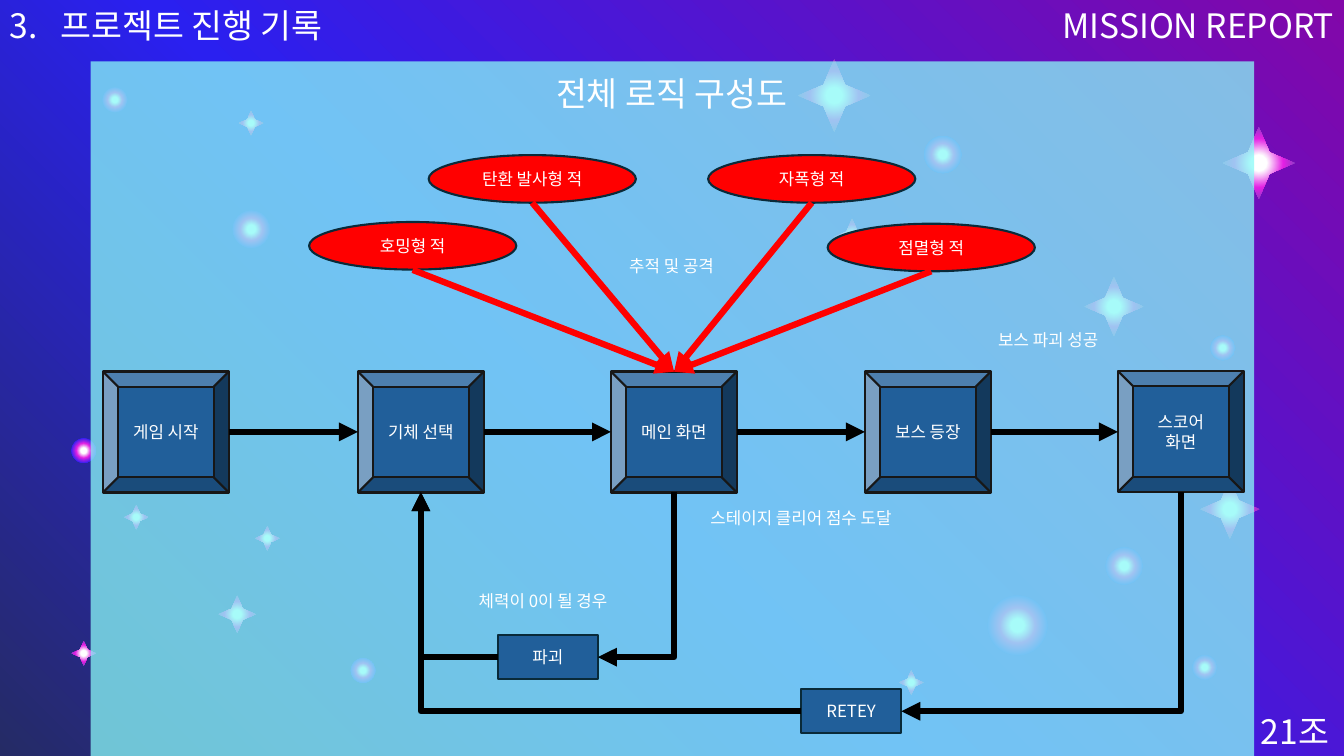
from lxml import etree
from pptx import Presentation
from pptx.dml.color import RGBColor
from pptx.enum import shapes, text
from pptx.oxml.ns import qn
from pptx.util import Pt

FONT = "Noto Sans CJK KR"
MSO, LINK, ALIGN = shapes.MSO_SHAPE, shapes.MSO_CONNECTOR, text.PP_ALIGN


def paint(obj, *stops, angle=None):
    """Fill with one hex colour, or with (percent, hex) stops: linear if angle is given, else radial."""
    if isinstance(stops[0], str):
        obj.fill.solid()
        obj.fill.fore_color.rgb = RGBColor.from_string(stops[0])
        return
    obj.fill.gradient()
    grad = next(obj._element.iter(qn("a:gradFill")))
    for child in list(grad):
        grad.remove(child)
    stop_list = etree.SubElement(grad, qn("a:gsLst"))
    for percent, color in stops:
        stop = etree.SubElement(stop_list, qn("a:gs"), pos=str(percent * 1000))
        etree.SubElement(stop, qn("a:srgbClr"), val=color)
    if angle is not None:
        etree.SubElement(grad, qn("a:lin"), ang=str(angle * 60000), scaled="0")
    else:
        circle = etree.SubElement(grad, qn("a:path"), path="circle")
        etree.SubElement(circle, qn("a:fillToRect"), dict.fromkeys("ltrb", "50000"))


def write(sp, words, size=12, color="FFFFFF", align=ALIGN.CENTER,
          anchor=text.MSO_ANCHOR.MIDDLE, grow=False):
    tf = sp.text_frame
    tf.word_wrap = True
    tf.vertical_anchor = anchor
    if grow:
        tf.auto_size = text.MSO_AUTO_SIZE.SHAPE_TO_FIT_TEXT
    p = tf.paragraphs[0]
    p.alignment = align
    r = p.add_run()
    r.text = words
    r.font.size = Pt(size)
    r.font.name = FONT
    paint(r.font, color)
    etree.SubElement(r._r.get_or_add_rPr(), qn("a:ea"), typeface=FONT)
    return p


prs = Presentation()
prs.slide_width, prs.slide_height = Pt(960), Pt(540)
s = prs.slides.add_slide(prs.slide_layouts[6])
paint(s.background, (0, "252B65"), (43, "2A20F0"), (100, "8207A9"), angle=315)

# Night sky: left, top, size
stars = [(570.2, 42.5, 51.5), (118.8, 295.2, 26.5), (857.5, 342.7, 42), (182.2, 375.8, 17.5),
         (88.6, 360.7, 17.5), (156.2, 425.5, 26.5), (51.1, 457.9, 17.5), (873.4, 90.7, 51.5),
         (774.7, 198, 42), (595.4, 156.2, 26.5), (170.6, 79.2, 17.5), (642.2, 478.8, 17.5)]
glows = [(705.6, 425.5, 42.5), (166.3, 150.5, 26.5), (851.8, 468, 17.5), (250.6, 470.2, 17.5),
         (660.2, 97.2, 26.5), (864.7, 239.8, 17.5), (51.1, 313.2, 17.5), (73.4, 62.6, 17.5),
         (789.8, 391, 26.5)]
sky = [(MSO.STAR_4_POINT, stars, [(16, "FFFFFF"), (48, "E420E4"), (73, "8C3DC7")]),
       (MSO.OVAL, glows, [(16, "FFFFFF"), (42, "E420E4"), (73, "2A20F0")])]
for kind, places, stops in sky:
    for left, top, size in places:
        sp = s.shapes.add_shape(kind, Pt(left), Pt(top), Pt(size), Pt(size))
        sp.shadow.inherit = False
        sp.line.fill.background()
        paint(sp, *stops)
        if kind == MSO.STAR_4_POINT:
            sp.adjustments[0] = 0.21

panel = s.shapes.add_shape(MSO.RECTANGLE, Pt(64.8), Pt(43.8), Pt(831), Pt(496.2))
panel.shadow.inherit = False
panel.line.fill.background()
paint(panel, "8AFAF7")
panel_color = next(panel._element.spPr.iter(qn("a:srgbClr")))
etree.SubElement(panel_color, qn("a:alpha"), val="75000")

# Headings and captions: words, left, top, width, height, size, alignment
labels = [
    ("프로젝트 진행 기록", 0, 0, 480, 36, 24, ALIGN.LEFT),
    ("MISSION REPORT", 480, 0, 480, 36, 24, ALIGN.RIGHT),
    ("21조", 890, 504, 70, 36, 24, ALIGN.CENTER),
    ("전체 로직 구성도", 373.4, 48.4, 213, 36, 24, ALIGN.CENTER),
    ("추적 및 공격", 429, 178.8, 101.5, 21.8, 12, ALIGN.CENTER),
    ("보스 파괴 성공", 668, 231.8, 161.5, 21.8, 12, ALIGN.CENTER),
    ("스테이지 클리어 점수 도달", 491.5, 359, 161.5, 21.8, 12, ALIGN.CENTER),
    ("체력이 0이 될 경우", 325.3, 418.3, 125.3, 21.8, 12, ALIGN.CENTER),
]
for words, left, top, width, height, size, align in labels:
    box = s.shapes.add_textbox(Pt(left), Pt(top), Pt(width), Pt(height))
    p = write(box, words, size=size, align=align, anchor=text.MSO_ANCHOR.TOP, grow=True)
    if words == "프로젝트 진행 기록":
        pPr = p._p.get_or_add_pPr()
        pPr.set("marL", str(Pt(36)))
        pPr.set("indent", str(-Pt(36)))
        etree.SubElement(pPr, qn("a:buAutoNum"), type="arabicPeriod", startAt="3")

# Logic nodes: kind, width, height, fill, line, then words, left, top
nodes = [
    (MSO.BEVEL, 90, 86.4, "215F9A", "171717",
     [("게임 시작", 73.5, 265.4), ("기체 선택", 255.6, 265.4), ("메인 화면", 436.4, 265.4),
      ("보스 등장", 617.8, 265.4), ("스코어 화면", 798.5, 265)]),
    (MSO.RECTANGLE, 71.6, 31.6, "215F9A", "092A39",
     [("파괴", 355.5, 453.6), ("RETEY", 572.2, 492.2)]),
    (MSO.OVAL, 148, 34, "FF0000", "092A39",
     [("탄환 발사형 적", 306.2, 110.8), ("호밍형 적", 220.8, 158.6),
      ("자폭형 적", 505.8, 110.8), ("점멸형 적", 591.2, 159.8)]),
]
for kind, width, height, fill, line, members in nodes:
    for words, left, top in members:
        sp = s.shapes.add_shape(kind, Pt(left), Pt(top), Pt(width), Pt(height))
        sp.shadow.inherit = False
        paint(sp, fill)
        paint(sp.line, line)
        sp.line.width = Pt(1.5)
        write(sp, words)

# Arrows: start x, y, end x, y, colour, turn of the elbow (None when straight)
flow_y, attack = 308.5, (481.5, 265.5)
arrows = [(x1, flow_y, x2, flow_y, "000000", None)
          for x1, x2 in [(163.5, 255.6), (345.6, 436.4), (526.4, 617.8), (707.8, 798.5)]]
arrows += [(x, y, *attack, "FF0000", None)
           for x, y in [(579.8, 144.8), (294.8, 192.8), (665.2, 193.8), (380.2, 144.8)]]
arrows += [(481.5, 351.6, 427.1, 469.4, "000000", 90),
           (843.5, 351.6, 643.8, 508, "000000", 90),
           (355.5, 469.4, 300.6, 351.6, "000000", 180),
           (572.2, 508, 300.6, 351.6, "000000", 180)]
for x1, y1, x2, y2, color, turn in arrows:
    if turn:
        # The unturned frame shares its centre with the drawn one
        mid_x, mid_y = (x1 + x2) / 2, (y1 + y2) / 2
        half_w, half_h = abs(x2 - x1) / 2, abs(y2 - y1) / 2
        if turn == 90:
            half_w, half_h = half_h, half_w
        x1, y1, x2, y2 = mid_x - half_w, mid_y - half_h, mid_x + half_w, mid_y + half_h
    kind = LINK.ELBOW if turn else LINK.STRAIGHT
    arrow = s.shapes.add_connector(kind, Pt(x1), Pt(y1), Pt(x2), Pt(y2))
    spPr = arrow._element.spPr
    if turn:
        spPr.find(qn("a:xfrm")).set("rot", str(turn * 60000))
        spPr.find(qn("a:prstGeom")).set("prst", "bentConnector2")
    paint(arrow.line, color)
    arrow.line.width = Pt(4.5)
    etree.SubElement(arrow.line._get_or_add_ln(), qn("a:tailEnd"), type="triangle")
    etree.SubElement(spPr, qn("a:effectLst"))

prs.save("out.pptx")
